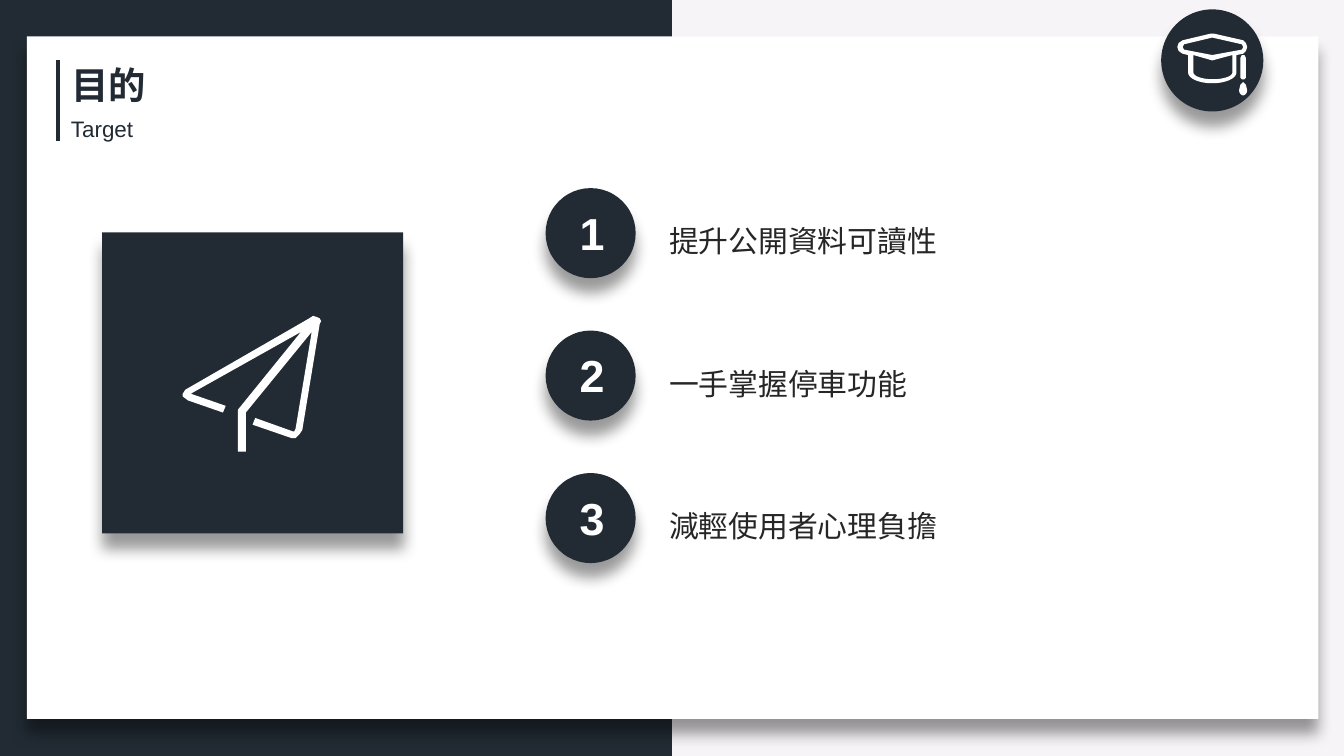
import math

from lxml import etree
from pptx import Presentation
from pptx.dml.color import RGBColor
from pptx.enum import shapes, text
from pptx.oxml import ns
from pptx.util import Inches, Pt

COLORS = {
    "paper": "F6F4F7",
    "navy": "222B34",
    "white": "FFFFFF",
    "body": "262626",
    "shadow": "000000",
}
CJK_FONT = "Noto Sans CJK TC"
GOALS = ["提升公開資料可讀性", "一手掌握停車功能", "減輕使用者心理負擔"]

# Icon contours, in inches from the icon's top left corner
PLANE = [
    [(1.00, 0.01), (0.97, 0), (0.94, 0.02), (0.02, 0.55), (0, 0.58), (0, 0.60),
     (0.04, 0.63), (0.30, 0.72), (0.32, 0.67), (0.06, 0.58), (0.88, 0.12),
     (0.41, 0.70), (0.41, 1.01), (0.47, 1.01), (0.47, 0.72), (0.96, 0.12),
     (0.84, 0.84), (0.83, 0.86), (0.82, 0.86), (0.54, 0.76), (0.52, 0.81),
     (0.81, 0.91), (0.84, 0.91), (0.87, 0.88), (0.89, 0.85), (1.02, 0.06),
     (1.03, 0.04), (1.02, 0.02)],
]


def color(name):
    return RGBColor.from_string(COLORS[name])


def add_effects(shape, shadow=False):
    """Replace inherited effects by none, or by a soft shadow below."""
    properties = shape.element.spPr
    effects = etree.SubElement(properties, ns.qn("a:effectLst"))
    if shadow:
        outer = etree.SubElement(
            effects, ns.qn("a:outerShdw"), blurRad=str(Pt(8)), dist=str(Pt(8)),
            dir="5400000", algn="t", rotWithShape="0")
        tint = etree.SubElement(outer, ns.qn("a:srgbClr"), val=COLORS["shadow"])
        etree.SubElement(tint, ns.qn("a:alpha"), val="40000")


def paint(shape, fill, shadow=False):
    shape.fill.solid()
    shape.fill.fore_color.rgb = color(fill)
    shape.line.fill.background()
    add_effects(shape, shadow)


def add_block(slide, kind, left, top, width, height, fill, shadow=False):
    shape = slide.shapes.add_shape(
        kind, Inches(left), Inches(top), Inches(width), Inches(height))
    paint(shape, fill, shadow)


def add_icon(slide, left, top, contours):
    first, *others = contours
    start, *rest = first
    builder = slide.shapes.build_freeform(Inches(start[0]), Inches(start[1]))
    builder.add_line_segments([(Inches(x), Inches(y)) for x, y in rest])
    for start, *rest in others:
        builder.move_to(Inches(start[0]), Inches(start[1]))
        builder.add_line_segments([(Inches(x), Inches(y)) for x, y in rest])
    paint(builder.convert_to_shape(Inches(left), Inches(top)), "white")


def write(slide, words, left, top, width, height, shape=None, size=16,
          font=CJK_FONT, fill="body", bold=False, align=text.PP_ALIGN.LEFT,
          spacing=1.0, wrap=False):
    """Fill the given shape, or a new text box, with one formatted line."""
    shape = shape or slide.shapes.add_textbox(0, 0, 0, 0)
    shape.left, shape.top = Inches(left), Inches(top)
    shape.width, shape.height = Inches(width), Inches(height)
    frame = shape.text_frame
    frame.word_wrap = wrap
    frame.auto_size = text.MSO_AUTO_SIZE.SHAPE_TO_FIT_TEXT
    frame.vertical_anchor = text.MSO_ANCHOR.TOP
    paragraph = frame.paragraphs[0]
    paragraph.alignment = align
    paragraph.line_spacing = spacing
    run = paragraph.add_run()
    run.text = words
    run.font.size, run.font.bold, run.font.name = Pt(size), bold, font
    run.font.color.rgb = color(fill)
    etree.SubElement(run.font._element, ns.qn("a:ea"), typeface=CJK_FONT)


def half_ellipse(center_x, center_y, radius_x, radius_y, steps=16):
    """Points of the lower half, from right to left."""
    angles = [math.pi * step / steps for step in range(steps + 1)]
    return [(center_x + radius_x * math.cos(angle),
             center_y + radius_y * math.sin(angle)) for angle in angles]


def add_backdrop(slide, width, height):
    slide.background.fill.solid()
    slide.background.fill.fore_color.rgb = color("paper")
    rectangle = shapes.MSO_SHAPE.RECTANGLE
    add_block(slide, rectangle, 0, 0, width / 2, height, "navy")
    add_block(slide, rectangle, 0.2, 0.27, 9.61, 5.08, "white", shadow=True)


def add_heading(slide, left, top):
    bar = slide.shapes.add_connector(
        shapes.MSO_CONNECTOR.STRAIGHT, Inches(left), Inches(top + 0.04),
        Inches(left), Inches(top + 0.64))
    bar.line.color.rgb = color("navy")
    bar.line.width = Pt(2.25)
    add_effects(bar)
    title = slide.shapes.title
    slide.shapes.element.append(title.element)  # bring in front of the backdrop
    write(slide, "目的", left, top, 0.76, 0.44, shape=title, size=20,
          font="Calibri", fill="navy", bold=True)
    write(slide, "Target", left, top + 0.4, 0.67, 0.3, size=12, font="Arial",
          fill="navy")


def add_cap_badge(slide, left, top, size):
    add_block(slide, shapes.MSO_SHAPE.OVAL, left, top, size, size, "navy", shadow=True)
    outer = [(0.52, 0.10), (0.51, 0.07), (0.49, 0.05), (0.27, 0), (0.25, 0),
             (0.04, 0.05), (0.01, 0.07), (0, 0.10), (0.01, 0.13), (0.04, 0.15),
             (0.08, 0.16), (0.08, 0.29)]
    outer += half_ellipse(0.26, 0.29, 0.18, 0.08)[::-1]
    outer += [(0.44, 0.16), (0.49, 0.15), (0.51, 0.13)]
    board = [(0.26, 0.16), (0.05, 0.12), (0.04, 0.10), (0.05, 0.08),
             (0.26, 0.03), (0.48, 0.08), (0.49, 0.10), (0.48, 0.12)]
    crown = half_ellipse(0.265, 0.29, 0.145, 0.05)
    crown += [(0.12, 0.16), (0.26, 0.20), (0.41, 0.16)]
    cord = [(0.47, 0.18), (0.48, 0.16), (0.50, 0.16), (0.51, 0.18),
            (0.51, 0.33), (0.50, 0.34), (0.48, 0.34), (0.47, 0.33)]
    tassel = half_ellipse(0.49, 0.42, 0.03, 0.04)
    tassel += [(0.47, 0.38), (0.49, 0.36), (0.51, 0.38)]
    for contours in ([outer, board, crown], [cord], [tassel]):
        add_icon(slide, left + 0.12, top + 0.18, contours)


def add_plane_panel(slide, left, top, size):
    add_block(slide, shapes.MSO_SHAPE.RECTANGLE, left, top, size, size, "navy",
              shadow=True)
    add_icon(slide, left + 0.6, top + 0.62, PLANE)


def add_goal(slide, number, words, left, top, size=0.67):
    write(slide, words, left + 0.82, top + 0.13, 3.12, 0.41, spacing=1.3, wrap=True)
    add_block(slide, shapes.MSO_SHAPE.OVAL, left, top, size, size, "navy", shadow=True)
    write(slide, str(number), left + 0.15, top + 0.08, 0.39, 0.5, size=24,
          font="Arial", fill="white", bold=True, align=text.PP_ALIGN.CENTER)


def main():
    presentation = Presentation()
    width = 10
    height = width * 9 / 16
    presentation.slide_width = Inches(width)
    presentation.slide_height = Inches(height)
    slide = presentation.slides.add_slide(presentation.slide_layouts[5])
    add_backdrop(slide, width, height)
    add_heading(slide, 0.43, 0.41)
    add_cap_badge(slide, 8.64, 0.07, 0.76)
    add_plane_panel(slide, 0.76, 1.73, 2.24)
    for index, words in enumerate(GOALS):
        add_goal(slide, index + 1, words, 4.06, 1.4 + 1.06 * index)
    presentation.save("out.pptx")


if __name__ == "__main__":
    main()
